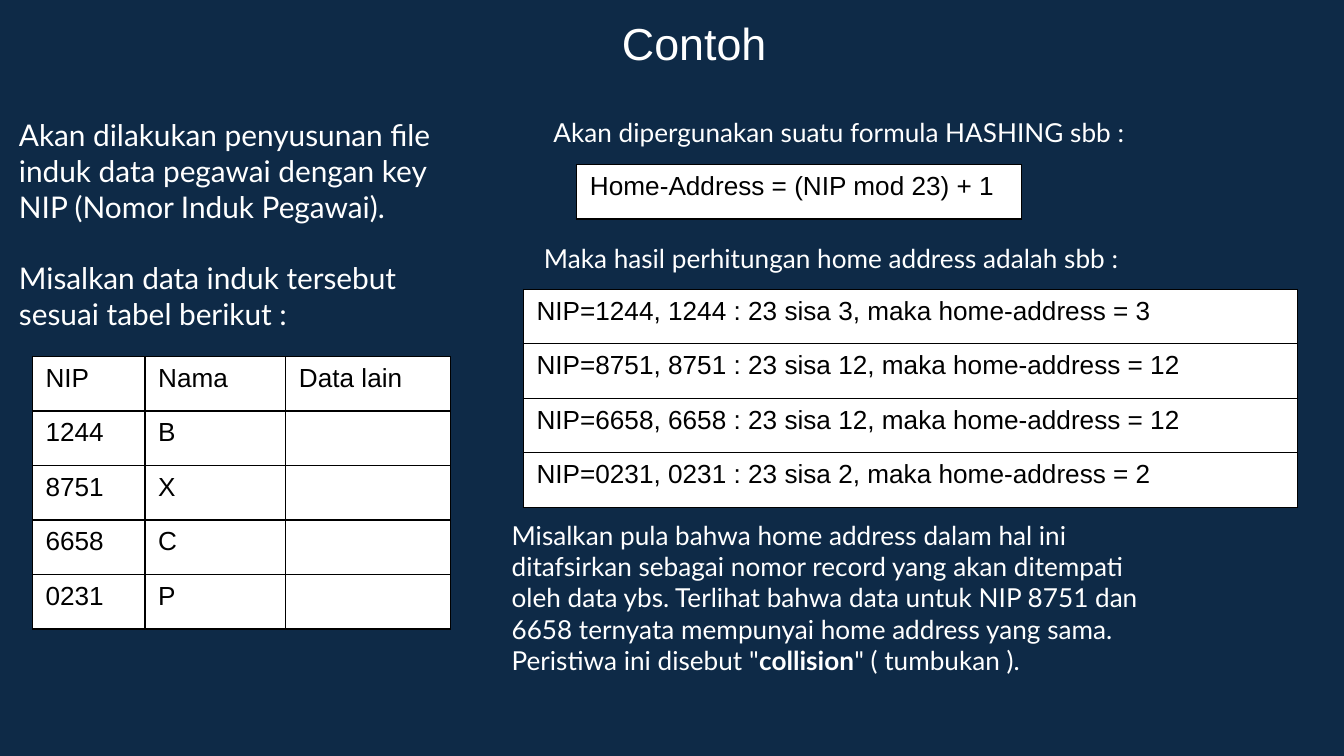
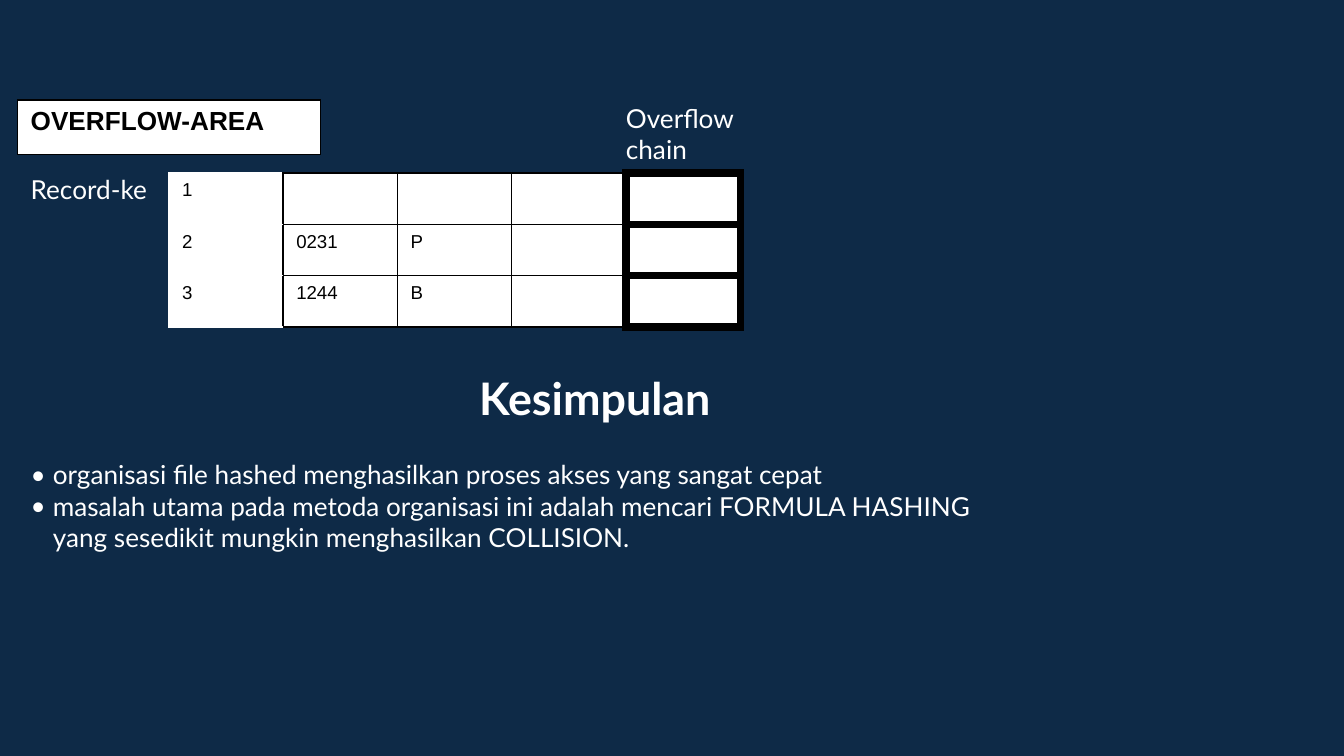
from lxml import etree
from pptx import Presentation
from pptx.dml.color import RGBColor
from pptx.enum.text import MSO_ANCHOR, PP_ALIGN
from pptx.oxml.ns import qn
from pptx.util import Cm, Pt

NAVY = RGBColor(0x0E, 0x2A, 0x47)
WHITE = RGBColor(0xFF, 0xFF, 0xFF)
BLACK = RGBColor(0x00, 0x00, 0x00)
LEFT, CENTER = PP_ALIGN.LEFT, PP_ALIGN.CENTER
TOP = MSO_ANCHOR.TOP

BODY_FONT = "Lato"
TABLE_FONT = "Arial"
SIDE_INSET = 0.25
EDGE_INSET = 0.13
ROW_HEIGHT = 1.03
TABLE_FRAME = 8.33
BULLET_INDENT = 0.42
EDGES = ("lnL", "lnR", "lnT", "lnB")

THIN = (BLACK, 0.75)
PALE = (WHITE, 1)
THICK = (BLACK, 4.5)
GRID = dict.fromkeys(EDGES, THIN)
NUMBER_COLUMN = dict.fromkeys(EDGES, PALE) | {"lnR": THIN}
BEFORE_CHAIN = GRID | {"lnR": THICK}
CHAIN_COLUMN = dict.fromkeys(EDGES, THICK)


class Deck:
    def __init__(self):
        self.presentation = Presentation()
        self.presentation.slide_width = Cm(25.4)
        self.presentation.slide_height = Cm(14.29)
        self.slide = None

    def add_slide(self):
        self.slide = self.presentation.slides.add_slide(self.presentation.slide_layouts[6])
        fill = self.slide.background.fill
        fill.solid()
        fill.fore_color.rgb = NAVY

    def add_run(self, paragraph, text, size, font, color, bold=False):
        run = paragraph.add_run()
        run.text = text
        run.font.size = Pt(size)
        run.font.name = font
        run.font.color.rgb = color
        run.font.bold = bold

    def add_bullet(self, paragraph):
        properties = paragraph._p.get_or_add_pPr()
        properties.set("marL", str(Cm(BULLET_INDENT)))
        properties.set("indent", str(-Cm(BULLET_INDENT)))
        etree.SubElement(properties, qn("a:buFont"), typeface=BODY_FONT)
        etree.SubElement(properties, qn("a:buChar"), char="•")

    def add_text(self, box, paragraphs, size=14, font=BODY_FONT, align=LEFT,
                 top=EDGE_INSET, gap=0, bulleted=False):
        shape = self.slide.shapes.add_textbox(*map(Cm, box))
        frame = shape.text_frame
        frame.word_wrap = True
        frame.vertical_anchor = TOP
        frame.margin_left = frame.margin_right = Cm(SIDE_INSET)
        frame.margin_top = Cm(top)
        frame.margin_bottom = Cm(EDGE_INSET)
        for index, runs in enumerate(paragraphs):
            paragraph = frame.add_paragraph() if index else frame.paragraphs[0]
            if bulleted:
                self.add_bullet(paragraph)
            paragraph.alignment = align
            if index and gap:
                paragraph.space_before = Pt(gap)
            for text, bold in runs:
                self.add_run(paragraph, text, size, font, WHITE, bold)

    def add_heading(self, box, text, font, bold=False):
        self.add_text(box, [[(text, bold)]], 24, font, CENTER, SIDE_INSET)

    def add_borders(self, cell, borders):
        properties = cell._tc.get_or_add_tcPr()
        for edge in EDGES:
            color, width = borders[edge]
            line = etree.SubElement(properties, qn(f"a:{edge}"), w=str(Pt(width)))
            fill = etree.SubElement(line, qn("a:solidFill"))
            etree.SubElement(fill, qn("a:srgbClr"), val=str(color))

    def add_table(self, left, top, widths, rows, size=14, bold=False,
                  row_height=ROW_HEIGHT, column_borders=None):
        column_borders = column_borders or [GRID] * len(widths)
        shape = self.slide.shapes.add_table(
            len(rows), len(widths), Cm(left), Cm(top), Cm(TABLE_FRAME), Cm(TABLE_FRAME))
        table = shape.table
        table.first_row = table.horz_banding = False
        for column, width in zip(table.columns, widths):
            column.width = Cm(width)
        for row, texts in zip(table.rows, rows):
            row.height = Cm(row_height)
            for cell, text, borders in zip(row.cells, texts, column_borders):
                self.add_borders(cell, borders)
                cell.fill.solid()
                cell.fill.fore_color.rgb = WHITE
                cell.margin_left = cell.margin_right = Cm(SIDE_INSET)
                cell.margin_top = cell.margin_bottom = Cm(EDGE_INSET)
                paragraph = cell.text_frame.paragraphs[0]
                if text:
                    self.add_run(paragraph, text, size, TABLE_FONT, BLACK, bold)
                else:
                    etree.SubElement(paragraph._p, qn("a:endParaRPr"), sz=str(size * 100))
        shape.width = shape.height = Cm(TABLE_FRAME)


def build_example(deck):
    deck.add_slide()
    deck.add_heading((3.33, 0.05, 19.58, 1.35), "Contoh", TABLE_FONT)
    deck.add_text((0.11, 2.08, 8.92, 4.37), [
        [("Akan dilakukan penyusunan file induk data pegawai dengan key "
          "NIP (Nomor Induk Pegawai).", False)],
        [("Misalkan data induk tersebut sesuai tabel berikut :", False)],
    ], size=16, gap=19.2)
    deck.add_table(0.61, 6.74, [2.13, 2.66, 3.12], [
        ("NIP", "Nama", "Data lain"),
        ("1244", "B", ""),
        ("8751", "X", ""),
        ("6658", "C", ""),
        ("0231", "P", ""),
    ])
    deck.add_text((10.21, 2.07, 12.7, 0.86),
                  [[("Akan dipergunakan suatu formula HASHING sbb :", False)]])
    deck.add_table(10.9, 3.11, [8.41], [("Home-Address = (NIP mod 23) + 1",)])
    deck.add_text((10.03, 4.45, 12.7, 0.86),
                  [[("Maka hasil perhitungan home address adalah sbb :", False)]])
    remainders = [("1244", 3), ("8751", 12), ("6658", 12), ("0231", 2)]
    deck.add_table(9.89, 5.47, [14.63], [
        (f"NIP={key}, {key} : 23 sisa {rest}, maka home-address = {rest}",)
        for key, rest in remainders
    ])
    deck.add_text((9.42, 9.68, 12.7, 3.25), [[
        ("Misalkan pula bahwa home address dalam hal ini ditafsirkan sebagai nomor "
         "record yang akan ditempati oleh data ybs. Terlihat bahwa data untuk NIP 8751 "
         "dan 6658 ternyata mempunyai home address yang sama. Peristiwa ini disebut \"",
         False),
        ("collision", True),
        ("\" ( tumbukan ).", False),
    ]])


def build_conclusion(deck):
    deck.add_slide()
    deck.add_table(3.19, 3.27, [2.16] * 5, [
        ("1", "", "", "", ""),
        ("2", "0231", "P", "", ""),
        ("3", "1244", "B", "", ""),
    ], size=10, row_height=0.97,
        column_borders=[NUMBER_COLUMN, GRID, GRID, BEFORE_CHAIN, CHAIN_COLUMN])
    deck.add_table(0.33, 1.89, [5.72], [("OVERFLOW-AREA",)], bold=True)
    deck.add_text((0.33, 3.28, 14.45, 1.37), [[("Record-ke", False)]], top=0)
    deck.add_text((11.58, 1.93, 3.2, 1.37), [[("Overflow chain", False)]], top=0)
    deck.add_heading((1.45, 6.76, 19.58, 1.35), "Kesimpulan", BODY_FONT, True)
    deck.add_text((0.33, 8.54, 18.44, 2.06), [
        [("organisasi file hashed menghasilkan proses akses yang sangat cepat", False)],
        [("masalah utama pada metoda organisasi ini adalah mencari FORMULA HASHING "
          "yang sesedikit mungkin menghasilkan COLLISION.", False)],
    ], bulleted=True)


def main():
    deck = Deck()
    build_example(deck)
    build_conclusion(deck)
    deck.presentation.save("out.pptx")


if __name__ == "__main__":
    main()
